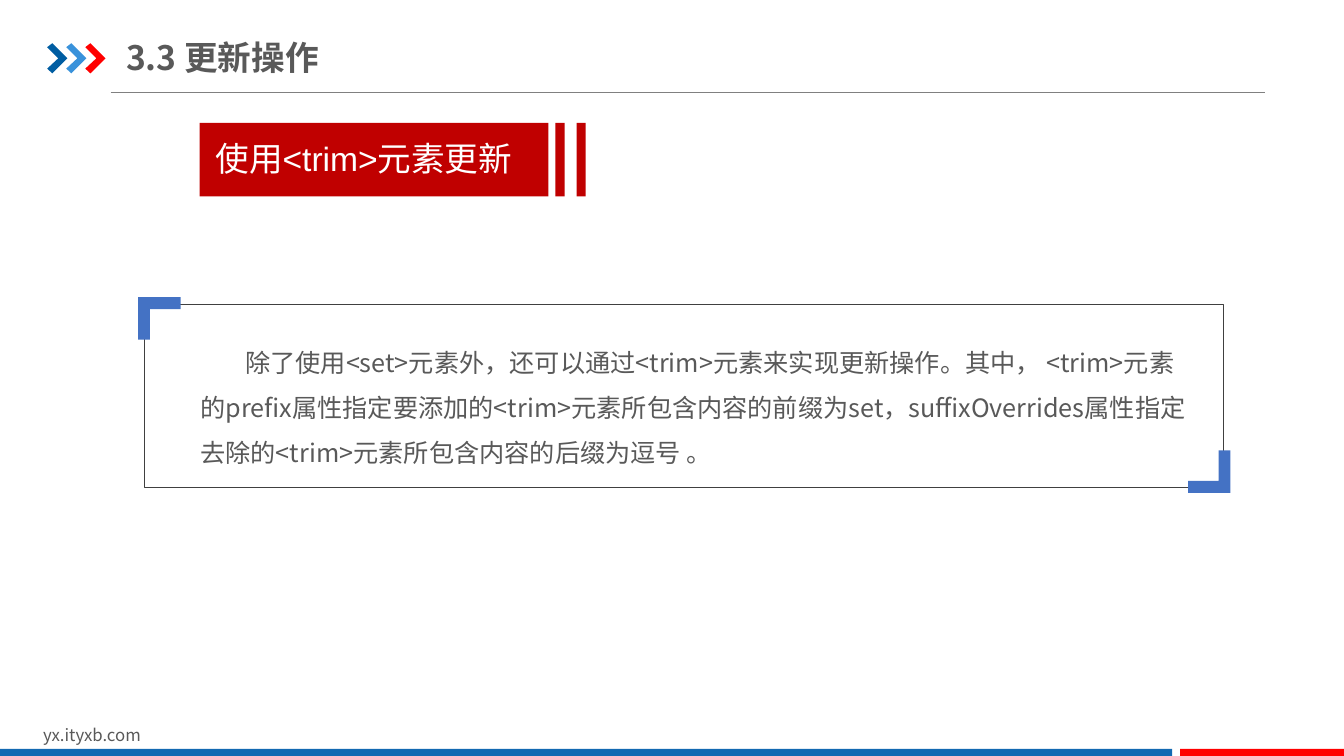
from dataclasses import dataclass

from lxml import etree
from pptx import Presentation
from pptx.dml.color import RGBColor
from pptx.enum.shapes import MSO_CONNECTOR, MSO_SHAPE
from pptx.enum.text import MSO_ANCHOR, MSO_AUTO_SIZE, PP_ALIGN
from pptx.oxml.ns import qn
from pptx.util import Cm, Pt

RECTANGLE = MSO_SHAPE.RECTANGLE
ROUNDED = MSO_SHAPE.ROUNDED_RECTANGLE
STRAIGHT = MSO_CONNECTOR.STRAIGHT
TOP, MIDDLE = MSO_ANCHOR.TOP, MSO_ANCHOR.MIDDLE
LEFT, JUSTIFY = PP_ALIGN.LEFT, PP_ALIGN.JUSTIFY
FIXED = MSO_AUTO_SIZE.NONE


@dataclass(frozen=True)
class Theme:
    text: str = "595959"
    white: str = "FFFFFF"
    rule: str = "808080"
    frame: str = "404040"
    navy: str = "005DA2"
    sky: str = "3992DB"
    red: str = "FF0000"
    footer_blue: str = "1369B2"
    banner: str = "C00000"
    corner: str = "4472C4"
    font: str = "Noto Sans CJK SC"
    banner_font: str = "Arial"
    heading_size: int = 24
    body_size: int = 18
    footer_size: int = 12


@dataclass(frozen=True)
class Bar:
    left: float
    top: float
    width: float
    height: float
    color: str


@dataclass(frozen=True)
class Outline:
    left: float
    top: float
    points: tuple
    color: str
    direction: int = 1


THEME = Theme()

CHEVRON = ((0, 0.1), (0.13, 0), (0.51, 0.38), (0.13, 0.76), (0, 0.64), (0.28, 0.38))
CORNER = ((0, 0), (1.07, 0), (1.07, 0.3), (0.3, 0.3), (0.3, 1.07), (0, 1.07))

BARS = (
    Bar(0, 18.87, 29.54, 0.23, THEME.footer_blue),
    Bar(29.74, 18.87, 4.13, 0.23, THEME.red),
    Bar(5.03, 3.1, 8.79, 1.85, THEME.banner),
    Bar(14, 3.1, 0.23, 1.85, THEME.banner),
    Bar(14.53, 3.1, 0.23, 1.85, THEME.banner),
)
BANNER_LABEL = Bar(5.18, 3.35, 8.48, 1.27, THEME.banner)

CHEVRONS = tuple(
    Outline(1.19 + 0.48 * index, 1.09, CHEVRON, color)
    for index, color in enumerate((THEME.navy, THEME.sky, THEME.red))
)
CORNERS = (
    Outline(3.48, 7.49, CORNER, THEME.corner),
    Outline(31.01, 12.42, CORNER, THEME.corner, -1),
)

EXPLANATION = (
    "除了使用<set>元素外，还可以通过<trim>元素来实现更新操作。其中， <trim>元素的prefix属性"
    "指定要添加的<trim>元素所包含内容的前缀为set，suffixOverrides属性指定去除的<trim>元素"
    "所包含内容的后缀为逗号 。"
)


def place(shape, left: float, top: float, width: float, height: float) -> None:
    shape.left, shape.top = Cm(left), Cm(top)
    shape.width, shape.height = Cm(width), Cm(height)


def paint(shape, color: str) -> None:
    shape.shadow.inherit = False
    shape.fill.solid()
    shape.fill.fore_color.rgb = RGBColor.from_string(color)
    shape.line.fill.background()


def write(shape, text: str, *, size: int, color: str = THEME.text, font: str = THEME.font,
          bold: bool = False, align=LEFT, anchor=TOP, inset: tuple = (0.25, 0.13),
          spacing: float = 1.0, indent: float = 0, wrap: bool = True) -> None:
    frame = shape.text_frame
    frame.auto_size = FIXED
    frame.word_wrap = wrap
    frame.vertical_anchor = anchor
    frame.margin_left = frame.margin_right = Cm(inset[0])
    frame.margin_top = frame.margin_bottom = Cm(inset[1])
    paragraph = frame.paragraphs[0]
    properties = paragraph._p.get_or_add_pPr()
    properties.set("marL", "0")
    properties.set("indent", str(Cm(indent)))
    etree.SubElement(properties, qn("a:buNone"))
    paragraph.alignment = align
    paragraph.line_spacing = spacing
    paragraph.space_before = Pt(0)
    run = paragraph.add_run()
    run.text = text
    run.font.name = font
    run.font.size = Pt(size)
    run.font.bold = bold
    run.font.color.rgb = RGBColor.from_string(color)
    east_asian = etree.SubElement(run._r.get_or_add_rPr(), qn("a:ea"))
    east_asian.set("typeface", THEME.font)


def draw_bar(slide, bar: Bar):
    shape = slide.shapes.add_shape(
        RECTANGLE, Cm(bar.left), Cm(bar.top), Cm(bar.width), Cm(bar.height))
    paint(shape, bar.color)
    return shape


def draw_outline(slide, outline: Outline) -> None:
    points = [(Cm(outline.left + outline.direction * x), Cm(outline.top + outline.direction * y))
              for x, y in outline.points]
    builder = slide.shapes.build_freeform(*points[0], scale=1.0)
    builder.add_line_segments(points[1:], close=True)
    paint(builder.convert_to_shape(), outline.color)


def draw_header_rule(slide) -> None:
    rule = slide.shapes.add_connector(STRAIGHT, Cm(2.79), Cm(2.33), Cm(31.88), Cm(2.33))
    rule.line.color.rgb = RGBColor.from_string(THEME.rule)
    rule.line.width = Pt(0.5)
    etree.SubElement(rule._element.spPr, qn("a:effectLst"))


def draw_frame(slide) -> None:
    frame = slide.shapes.add_shape(ROUNDED, Cm(3.63), Cm(7.67), Cm(27.2), Cm(4.6))
    frame.adjustments[0] = 0
    frame.shadow.inherit = False
    frame.fill.background()
    frame.line.color.rgb = RGBColor.from_string(THEME.frame)
    frame.line.width = Pt(0.25)


def main() -> None:
    presentation = Presentation()
    presentation.slide_width, presentation.slide_height = Cm(33.87), Cm(19.05)
    slide = presentation.slides.add_slide(presentation.slide_layouts[1])

    title = slide.shapes.title
    place(title, 3.18, 0.74, 5.49, 1.4)
    write(title, "3.3 更新操作", size=THEME.heading_size, bold=True, anchor=MIDDLE,
          inset=(0, 0.18), wrap=False)

    body = slide.placeholders[1]
    place(body, 4.8, 8.23, 25.4, 3.23)
    write(body, EXPLANATION, size=THEME.body_size, spacing=1.5, indent=1.13)

    draw_header_rule(slide)
    for bar in BARS:
        draw_bar(slide, bar)
    write(draw_bar(slide, BANNER_LABEL), "使用<trim>元素更新", size=THEME.heading_size,
          color=THEME.white, font=THEME.banner_font, align=JUSTIFY)

    draw_frame(slide)
    for outline in CHEVRONS + CORNERS:
        draw_outline(slide, outline)

    footer = slide.shapes.add_textbox(Cm(0.84), Cm(18.14), Cm(8.08), Cm(0.76))
    write(footer, "yx.ityxb.com", size=THEME.footer_size)

    presentation.save("out.pptx")


if __name__ == "__main__":
    main()
